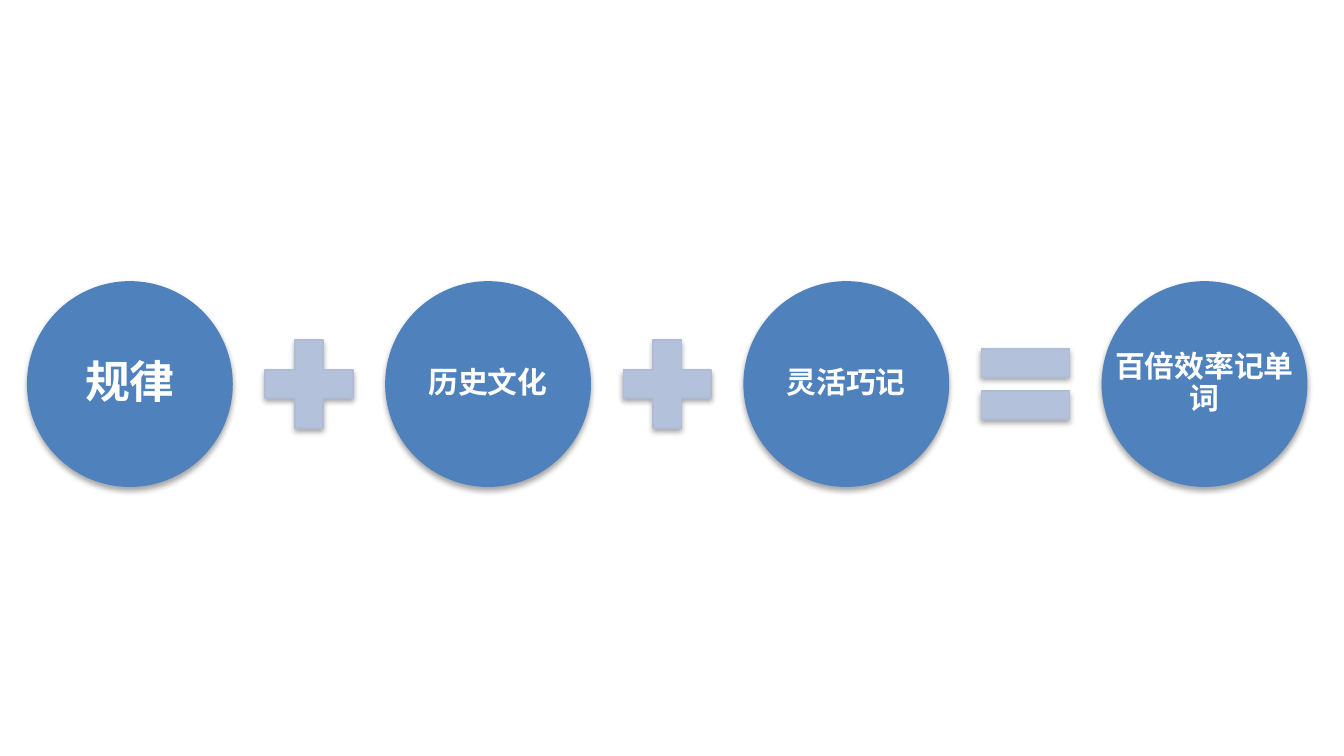
from lxml import etree
from pptx import Presentation
from pptx.dml.color import RGBColor
from pptx.enum.shapes import MSO_SHAPE as Form
from pptx.enum.text import MSO_ANCHOR as Anchor, PP_ALIGN as Align
from pptx.oxml import parse_xml
from pptx.oxml.ns import nsdecls, qn
from pptx.util import Cm, Pt


def color(code):
    return RGBColor.from_string(code)


def write(frame, text, size=16, font="Noto Sans CJK SC", tint="FFFFFF",
          bold=True, pad=0.05):
    frame.word_wrap = True
    frame.vertical_anchor = Anchor.MIDDLE
    frame.margin_left = frame.margin_right = Cm(pad)
    frame.margin_top = frame.margin_bottom = Cm(pad)
    para = frame.paragraphs[0]
    para.alignment = Align.CENTER
    para.line_spacing = 0.9
    run = para.add_run()
    run.text = text
    run.font.size = Pt(size)
    run.font.bold = bold
    run.font.name = font
    run.font.color.rgb = color(tint)
    # East Asian glyphs take their own font entry
    east = etree.SubElement(run.font._element, qn("a:ea"))
    east.set("typeface", font)


class Board:
    disc = "4F81BD"
    sign = "B3C1DB"
    edge = "AEBCD7"

    def __init__(self, deck):
        self.slide = deck.slides.add_slide(deck.slide_layouts[6])

    def shape(self, form, left, top, side, fill, line=None):
        item = self.slide.shapes.add_shape(
            form, Cm(left), Cm(top), Cm(side), Cm(side))
        item.fill.solid()
        item.fill.fore_color.rgb = color(fill)
        if line:
            item.line.color.rgb = color(line)
            item.line.width = Pt(0.75)
        else:
            item.line.fill.background()
        self.shade(item)

    def shade(self, item):
        item.shadow.inherit = False
        effects = item._element.spPr.find(qn("a:effectLst"))
        effects.append(parse_xml(
            f'<a:outerShdw {nsdecls("a")} blurRad="{Pt(3.1)}" dist="{Pt(1.8)}" '
            'dir="5400000" rotWithShape="0"><a:srgbClr val="000000">'
            '<a:alpha val="35000"/></a:srgbClr></a:outerShdw>'))

    def circle(self, text, left, top, side, **style):
        self.shape(Form.OVAL, left, top, side, self.disc)
        # The label spans the full width of the circle
        box = self.slide.shapes.add_textbox(
            Cm(left), Cm(top), Cm(side), Cm(side))
        write(box.text_frame, text, **style)

    def symbol(self, form, left, top, side):
        self.shape(form, left, top, side, self.sign, self.edge)


def main():
    deck = Presentation()
    deck.slide_width, deck.slide_height = Cm(25.4), Cm(14.29)
    board = Board(deck)

    # Equation row: each circle is followed by its operator
    left, mid, step = 0.51, 7.26, 6.77
    disc, sign = 3.89, 2.26
    gap = (step - disc - sign) / 2
    terms = [
        ("规律", 24, Form.MATH_PLUS),
        ("历史文化", 16, Form.MATH_PLUS),
        ("灵活巧记", 16, Form.MATH_EQUAL),
        ("百倍效率记单词", 16, None),
    ]
    for i, (text, size, form) in enumerate(terms):
        x = left + i * step
        board.circle(text, x, mid - disc / 2, disc, size=size)
        if form:
            board.symbol(form, x + disc + gap, mid - sign / 2, sign)

    deck.save("out.pptx")


if __name__ == "__main__":
    main()
